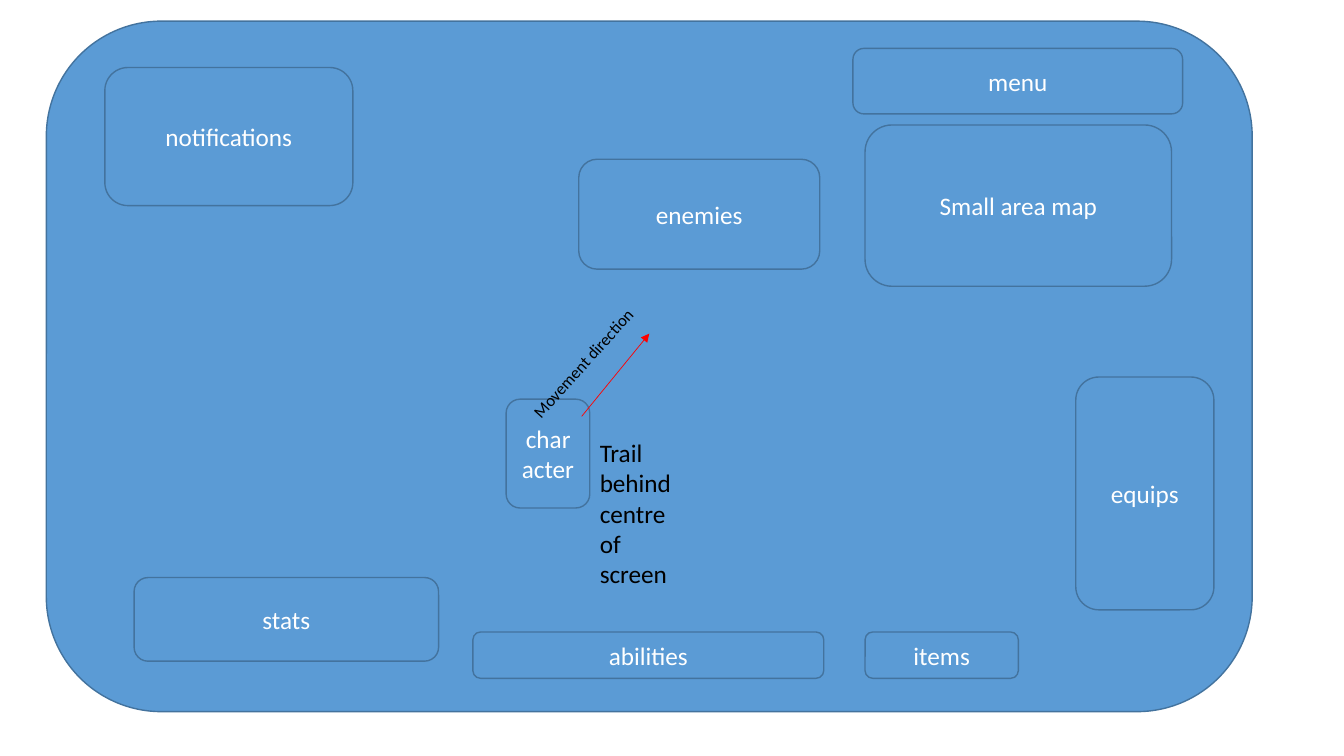
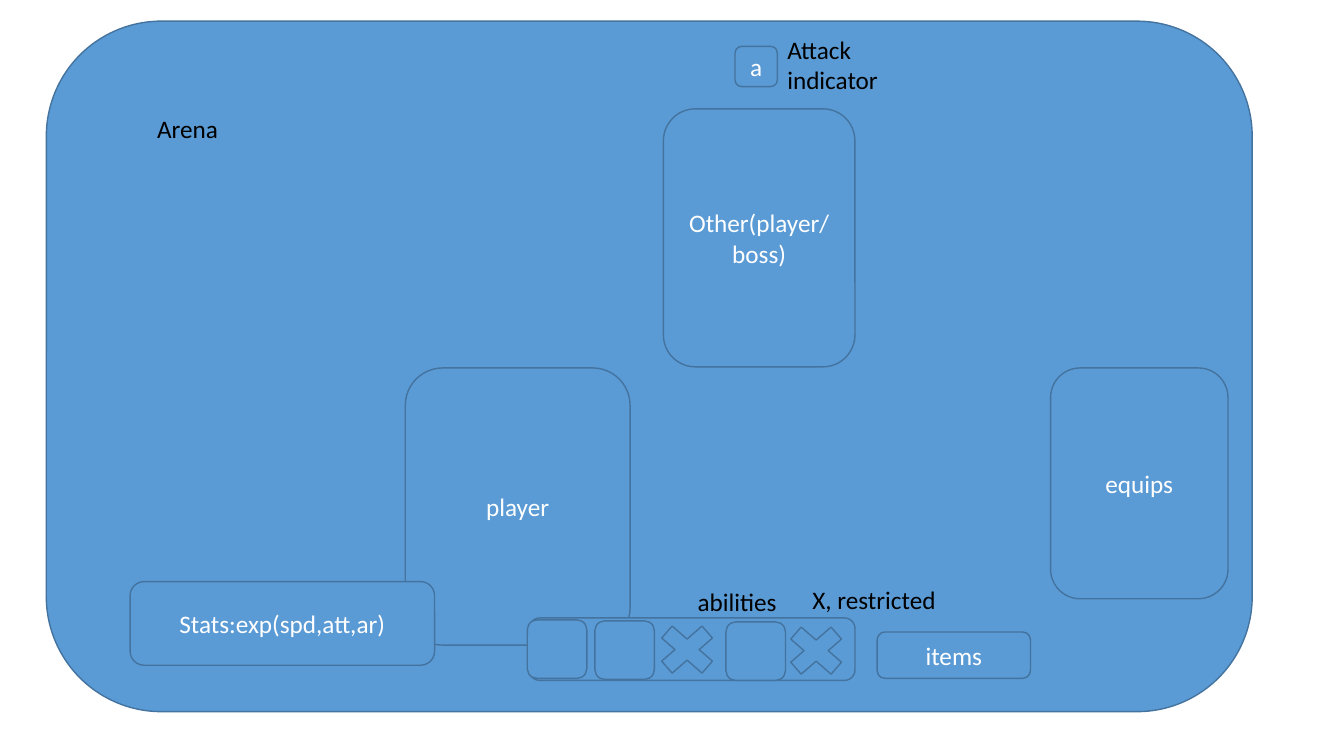
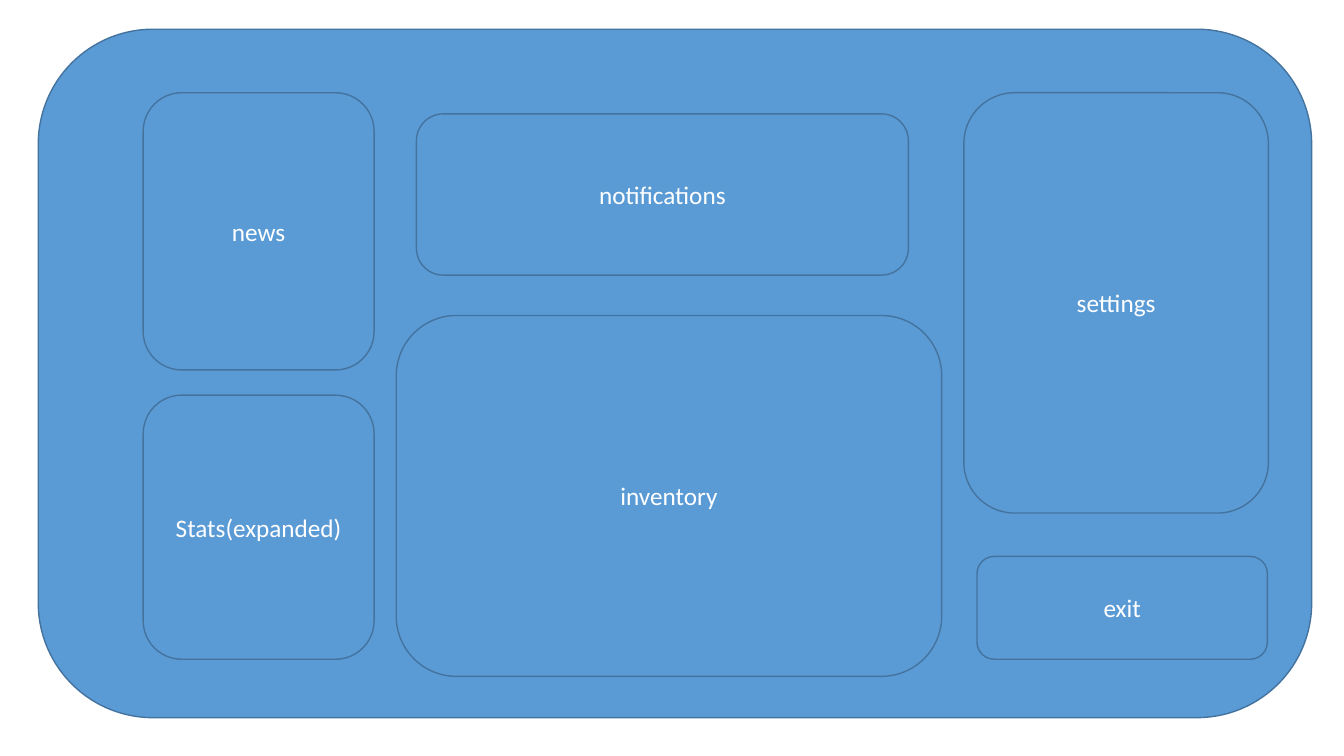
"""Wireframes of three game screens: exploration, arena and menu."""
from dataclasses import dataclass

from lxml import etree
from pptx import Presentation
from pptx.dml.color import RGBColor
from pptx.enum import shapes, text
from pptx.oxml import ns
from pptx.util import Inches, Pt


@dataclass(frozen=True)
class Theme:
    """Colours, font and sizes shared by all slides."""
    fill: RGBColor = RGBColor(0x5B, 0x9B, 0xD5)
    outline: RGBColor = RGBColor(0x43, 0x73, 0x9E)
    light: RGBColor = RGBColor(0xFF, 0xFF, 0xFF)
    dark: RGBColor = RGBColor(0, 0, 0)
    arrow: RGBColor = RGBColor(0xFF, 0, 0)
    font: str = "Calibri"
    body: float = 18
    small: float = 12
    outline_width: float = 1
    arrow_width: float = 0.5


THEME = Theme()
ROUNDED = shapes.MSO_SHAPE.ROUNDED_RECTANGLE
CROSS = shapes.MSO_SHAPE.MATH_MULTIPLY


@dataclass(frozen=True)
class Panel:
    """A filled, outlined area of the screen."""
    left: float
    top: float
    width: float
    height: float
    label: str = ""
    kind: shapes.MSO_SHAPE = ROUNDED


@dataclass(frozen=True)
class Note:
    """A dark annotation without a box."""
    left: float
    top: float
    width: float
    height: float
    label: str
    size: float = THEME.body
    rotation: float = 0


@dataclass(frozen=True)
class Arrow:
    """A straight arrow between two points."""
    x1: float
    y1: float
    x2: float
    y2: float


def write(sp, label: str, size: float, color: RGBColor) -> None:
    """Put one styled line of text in a shape."""
    tf = sp.text_frame
    tf.word_wrap = True
    p = tf.paragraphs[0]
    p.text = label
    for r in p.runs:
        r.font.name = THEME.font
        r.font.size = Pt(size)
        r.font.color.rgb = color


def draw_panel(s, panel: Panel) -> None:
    """Draw a panel with its centred label, if any."""
    sp = s.shapes.add_shape(panel.kind, Inches(panel.left), Inches(panel.top),
                            Inches(panel.width), Inches(panel.height))
    sp.shadow.inherit = False
    sp.fill.solid()
    sp.fill.fore_color.rgb = THEME.fill
    sp.line.color.rgb = THEME.outline
    sp.line.width = Pt(THEME.outline_width)
    if panel.label:
        write(sp, panel.label, THEME.body, THEME.light)
        sp.text_frame.vertical_anchor = text.MSO_ANCHOR.MIDDLE
        sp.text_frame.paragraphs[0].alignment = text.PP_ALIGN.CENTER


def draw_note(s, note: Note) -> None:
    """Draw an annotation as a text box."""
    sp = s.shapes.add_textbox(Inches(note.left), Inches(note.top),
                              Inches(note.width), Inches(note.height))
    sp.rotation = note.rotation
    write(sp, note.label, note.size, THEME.dark)
    sp.text_frame.auto_size = text.MSO_AUTO_SIZE.SHAPE_TO_FIT_TEXT


def draw_arrow(s, arrow: Arrow) -> None:
    """Draw a connector with a triangular head at its end."""
    sp = s.shapes.add_connector(shapes.MSO_CONNECTOR.STRAIGHT,
                                Inches(arrow.x1), Inches(arrow.y1),
                                Inches(arrow.x2), Inches(arrow.y2))
    sp.line.color.rgb = THEME.arrow
    sp.line.width = Pt(THEME.arrow_width)
    etree.SubElement(sp.line._get_or_add_ln(), ns.qn("a:tailEnd"), type="triangle")
    etree.SubElement(sp.element.spPr, ns.qn("a:effectLst"))


DRAW = {Panel: draw_panel, Note: draw_note, Arrow: draw_arrow}


def slot(left: float, top: float) -> Panel:
    """Return a usable ability slot."""
    return Panel(left, top, 0.59, 0.58)


def restricted(left: float, top: float) -> Panel:
    """Return the cross of a restricted ability."""
    return Panel(left, top, 0.77, 0.67, kind=CROSS)


def stats(left: float, top: float, label: str) -> Panel:
    """Return the stats bar."""
    return Panel(left, top, 3.02, 0.83, label)


def items(left: float) -> Panel:
    """Return the items bar at the bottom of a game screen."""
    return Panel(left, 6.27, 1.52, 0.46, "items")


GAME_SCREEN = Panel(0.46, 0.21, 11.96, 6.85)
MENU_SCREEN = Panel(0.38, 0.29, 12.63, 6.83)

EXPLORATION = [
    GAME_SCREEN,
    stats(1.33, 5.73, "stats"),
    Panel(8.46, 0.48, 3.27, 0.65, "menu"),
    Panel(1.04, 0.67, 2.46, 1.37, "notifications"),
    Panel(8.58, 1.24, 3.04, 1.6, "Small area map"),
    Panel(5.02, 3.96, 0.83, 1.08, "character"),
    Arrow(5.77, 4.13, 6.44, 3.31),
    Note(4.86, 3.16, 2.37, 0.3, "Movement direction", THEME.small, 311.9),
    Note(5.85, 4.29, 1.09, 1.62, "Trail behind centre of screen"),
    Panel(5.74, 1.58, 2.39, 1.09, "enemies"),
    Panel(4.69, 6.27, 3.48, 0.46, "abilities"),
    Panel(10.67, 3.74, 1.37, 2.31, "equips"),
    items(8.58),
]

ARENA = [
    GAME_SCREEN,
    Panel(4.02, 3.65, 2.23, 2.75, "player"),
    Panel(6.58, 1.08, 1.9, 2.56, "Other(player/boss)"),
    Panel(7.29, 0.46, 0.42, 0.4, "a"),
    Panel(10.42, 3.65, 1.76, 2.29, "equips"),
    Panel(5.25, 6.13, 3.23, 0.62),
    restricted(7.71, 6.12),
    restricted(6.43, 6.11),
    slot(7.2, 6.17),
    slot(5.9, 6.16),
    slot(5.23, 6.15),
    items(8.7),
    Note(7.71, 0.29, 1.38, 0.71, "Attack indicator"),
    Note(6.82, 5.77, 1.28, 0.4, "abilities"),
    Note(1.46, 1.08, 4, 0.4, "Arena"),
    stats(1.29, 5.77, "Stats:exp(spd,att,ar)"),
    Note(7.96, 5.75, 1.66, 0.4, "X, restricted"),
]

MENU = [
    MENU_SCREEN,
    Panel(1.42, 0.92, 2.29, 2.75, "news"),
    Panel(4.13, 1.13, 4.88, 1.6, "notifications"),
    Panel(3.93, 3.13, 5.41, 3.58, "inventory"),
    Panel(1.42, 3.92, 2.29, 2.62, "Stats(expanded)"),
    Panel(9.69, 5.52, 2.88, 1.02, "exit"),
    Panel(9.56, 0.92, 3.02, 4.17, "settings"),
]


def main() -> None:
    """Build and save the deck."""
    prs = Presentation()
    prs.slide_width, prs.slide_height = Inches(13.33), Inches(7.5)
    for screen in (EXPLORATION, ARENA, MENU):
        s = prs.slides.add_slide(prs.slide_layouts[6])
        for element in screen:
            DRAW[type(element)](s, element)
    prs.save("out.pptx")


main()
